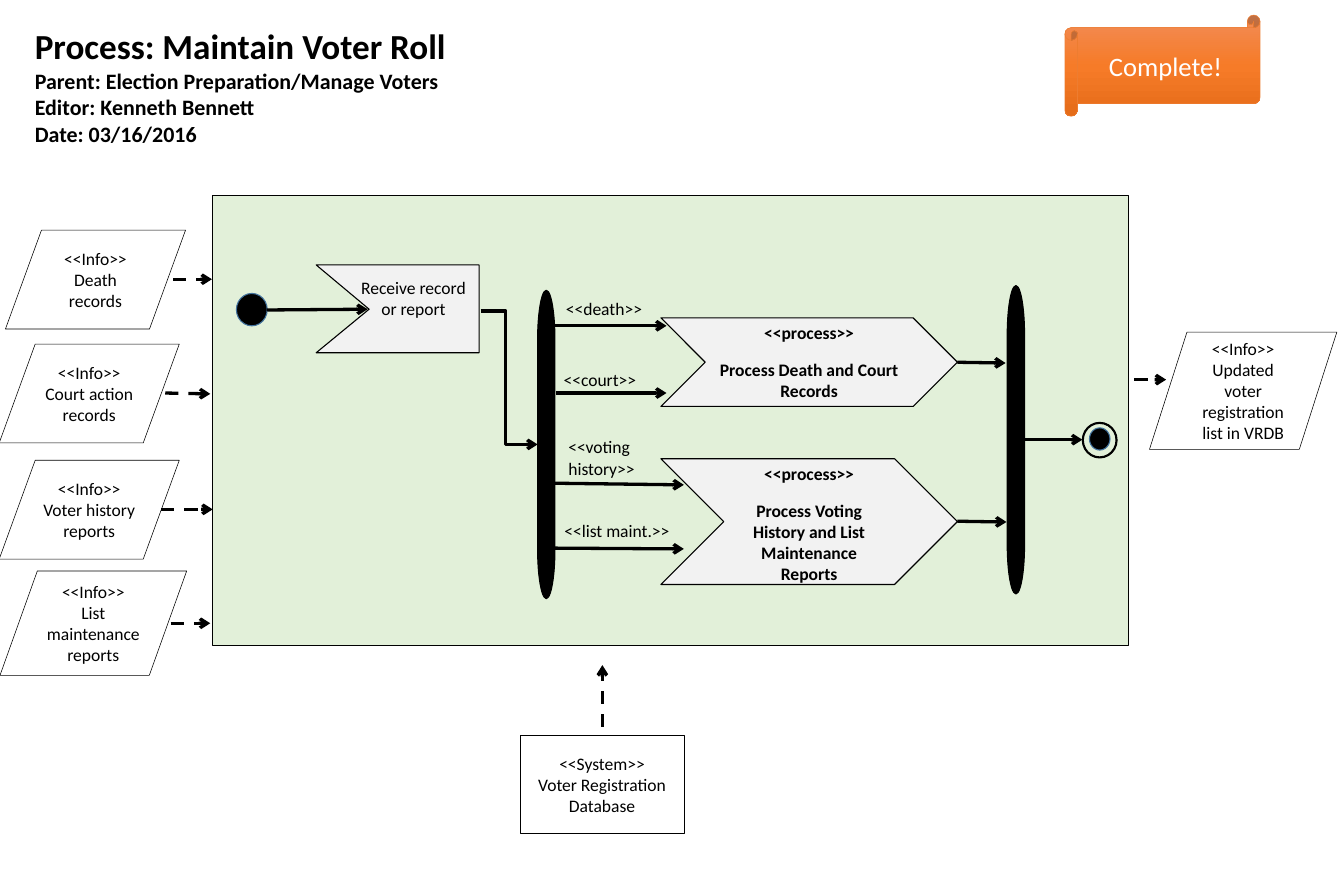
from copy import deepcopy

from lxml.etree import SubElement
from pptx import Presentation
from pptx.dml.color import RGBColor
from pptx.enum.dml import MSO_LINE
from pptx.enum.shapes import MSO_CONNECTOR as Connector, MSO_SHAPE as Shape
from pptx.enum.text import MSO_ANCHOR as Anchor, MSO_AUTO_SIZE as AutoSize, PP_ALIGN as Align
from pptx.oxml.ns import qn
from pptx.util import Pt

BLACK = RGBColor(0x00, 0x00, 0x00)
WHITE = RGBColor(0xFF, 0xFF, 0xFF)
PANEL_GREEN = RGBColor(0xE2, 0xF0, 0xD9)
STEP_GRAY = RGBColor(0xF2, 0xF2, 0xF2)
NODE_BLUE = RGBColor(0x43, 0x73, 0x9E)
SCROLL_ORANGE = RGBColor(0xED, 0x7D, 0x31)
SCROLL_GRADIENT = [RGBColor(0xF1, 0x8C, 0x57), RGBColor(0xF6, 0x7B, 0x28), RGBColor(0xE5, 0x6C, 0x19)]

INFO_BOXES = [
    ((5, 209.5, 164, 90), ["Death records"]),
    ((-0.7, 313.2, 164, 90), ["Court action records"]),
    ((-0.7, 419, 164, 90), ["Voter history", "reports"]),
    ((0, 519.8, 170, 95), ["List maintenance reports"]),
    ((1046.9, 302.4, 170.6, 106.6), ["Updated voter registration list in VRDB"]),
]
PROCESSES = [
    ((601.9, 417.6, 270, 114.5), "Process Voting History and List Maintenance Reports"),
    ((601.9, 289.4, 270, 80.6), "Process Death and Court Records"),
]
FLOW_LABELS = [
    ((508.3, 267.8, 85, 26.6), "<<death>>"),
    ((506.2, 331.9, 85, 26.6), "<<court>>"),
    ((510.5, 393.8, 94.3, 47.5), "<<voting history>>"),
    ((506.9, 470.2, 117.4, 26.6), "<<list maint.>>"),
]
FLOW_ARROWS = [
    (243.4, 282.2, 334.8, 281.5),
    (505.4, 296.6, 607, 296.6),
    (506.2, 357.8, 607, 357.8),
    (504, 439.9, 622.8, 441.4),
    (504, 499, 622.8, 499.7),
    (871.9, 329.8, 915.8, 330.5),
    (871.9, 474.5, 916.6, 475.2),
    (932.4, 400.3, 985.7, 400.3),
]
DATA_ARROWS = [
    (157.7, 254.2, 193, 254.2),
    (150.5, 357.8, 191.5, 358.6),
    (146.9, 463.7, 193.7, 463.7),
    (155.5, 567.4, 191.5, 567.4),
    (1033.2, 345.6, 1062, 345.6),
    (548.6, 661.7, 548.6, 605.5),
]
RECEIVE_OUTLINE = [(288, 241.2), (436.3, 241.2), (436.3, 321.1), (288, 321.1), (336.2, 281.5)]


def apply(target, formats):
    for name, value in formats.items():
        setattr(target, name, value)


class ProcessSlide:
    font_name = "Calibri"
    text_size = 16

    def __init__(self, presentation):
        self.slide = presentation.slides.add_slide(presentation.slide_layouts[1])
        self.shapes = self.slide.shapes

    def add_text(self, shape, lines, size=text_size, bold=False, color=BLACK,
                 align=Align.CENTER, anchor=Anchor.MIDDLE, gap=0, **margins):
        """Fill a shape with one paragraph per line, gap points apart."""
        frame = shape.text_frame
        apply(frame, {"word_wrap": True, "auto_size": AutoSize.NONE, "vertical_anchor": anchor})
        apply(frame, {f"margin_{side}": Pt(value) for side, value in margins.items()})
        for index, line in enumerate(lines):
            paragraph = frame.add_paragraph() if index else frame.paragraphs[0]
            apply(paragraph, {"alignment": align, "space_before": Pt(gap if index else 0)})
            run = paragraph.add_run()
            run.text = line
            apply(run.font, {"name": self.font_name, "size": Pt(size), "bold": bold})
            run.font.color.rgb = color

    def heading(self, placeholder, box, lines, size):
        apply(placeholder, dict(zip(("left", "top", "width", "height"), map(Pt, box))))
        self.add_text(placeholder, lines, size, True, align=Align.LEFT, anchor=Anchor.TOP)
        for paragraph in placeholder.text_frame.paragraphs:
            properties = paragraph._p.get_or_add_pPr()
            properties.set("marL", "0")
            properties.set("indent", "0")
            SubElement(properties, qn("a:buNone"))

    def paint(self, shape, fill, line, width):
        shape.shadow.inherit = False
        if fill is None:
            shape.fill.background()
        else:
            shape.fill.solid()
            shape.fill.fore_color.rgb = fill
        shape.line.color.rgb = line
        shape.line.width = Pt(width)
        return shape

    def shape(self, kind, box, fill=None, line=BLACK, width=1.0):
        return self.paint(self.shapes.add_shape(kind, *map(Pt, box)), fill, line, width)

    def outline(self, points, fill):
        start, *others = [(Pt(x), Pt(y)) for x, y in points]
        builder = self.shapes.build_freeform(*start)
        builder.add_line_segments(others)
        return self.paint(builder.convert_to_shape(), fill, BLACK, 1)

    def label(self, box, text):
        self.add_text(self.shapes.add_textbox(*map(Pt, box)), [text],
                      align=Align.LEFT, anchor=Anchor.TOP)

    def arrow(self, ends, dashed=False, bend=None):
        """Draw an arrow; bend is the elbow's place as a share of the width."""
        kind = Connector.STRAIGHT if bend is None else Connector.ELBOW
        connector = self.shapes.add_connector(kind, *map(Pt, ends))
        connector.line.color.rgb = BLACK
        connector.line.width = Pt(3)
        if dashed:
            connector.line.dash_style = MSO_LINE.DASH
        properties = connector._element.spPr
        SubElement(properties.find(qn("a:ln")), qn("a:tailEnd"), type="arrow")
        SubElement(properties, qn("a:effectLst"))
        if bend is not None:
            guides = properties.find(qn("a:prstGeom")).get_or_add_avLst()
            SubElement(guides, qn("a:gd"), name="adj1", fmla=f"val {round(bend * 100000)}")

    def scroll(self, box, text, colors):
        scroll = self.shape(Shape.HORIZONTAL_SCROLL, box, line=SCROLL_ORANGE, width=0.5)
        scroll.fill.gradient()
        scroll.fill.gradient_angle = 270
        stop_list = scroll._element.spPr.find(qn("a:gradFill")).find(qn("a:gsLst"))
        stop_list.insert(1, deepcopy(stop_list[0]))
        for index, (stop, color) in enumerate(zip(scroll.fill.gradient_stops, colors)):
            stop.color.rgb = color
            stop.position = index / 2
        self.add_text(scroll, [text], 24.2, color=WHITE)


def main():
    presentation = Presentation()
    apply(presentation, {"slide_width": Pt(1224), "slide_height": Pt(792)})
    process = ProcessSlide(presentation)

    title, details = process.slide.placeholders
    process.heading(title, (24.5, 18.7, 695, 46), ["Process: Maintain Voter Roll"], 32)
    process.heading(details, (24.5, 57.8, 695, 80),
                    ["Parent: Election Preparation/Manage Voters",
                     "Editor: Kenneth Bennett", "Date: 03/16/2016"], 20)

    process.shape(Shape.RECTANGLE, (193.7, 177.8, 834.5, 409.7), PANEL_GREEN)
    for box, lines in INFO_BOXES:
        info = process.shape(Shape.FLOWCHART_DATA, box, width=0.5)
        process.add_text(info, ["<<Info>>", *lines])
    system = process.shape(Shape.FLOWCHART_PROCESS, (473.8, 669.6, 149, 88.6), width=0.5)
    process.add_text(system, ["<<System>>", "Voter Registration Database"])

    end_ring = process.shape(Shape.DONUT, (985.7, 384.5, 31.7, 32.4), BLACK)
    end_ring.adjustments[0] = 0.03
    for node in [(215.3, 267.1, 28.1, 29.5), (992.2, 389.5, 18.7, 20.2)]:
        process.shape(Shape.FLOWCHART_CONNECTOR, node, BLACK, NODE_BLUE)
    for left, top in [(357.1, 396.7), (784.8, 392.4)]:
        bar = process.shape(Shape.FLOWCHART_TERMINATOR, (left, top, 280.8, 15.8), BLACK)
        bar.rotation = 270

    receive = process.outline(RECEIVE_OUTLINE, STEP_GRAY)
    process.add_text(receive, ["Receive record or report"], left=36, top=3.6, right=7.2, bottom=23)
    for box, name in PROCESSES:
        step = process.shape(Shape.CHEVRON, box, STEP_GRAY)
        process.add_text(step, ["<<process>>", name], bold=True, anchor=Anchor.TOP, gap=14.6)
    for box, text in FLOW_LABELS:
        process.label(box, text)

    for ends in FLOW_ARROWS:
        process.arrow(ends)
    for ends in DATA_ARROWS:
        process.arrow(ends, dashed=True)
    process.arrow((437.8, 283, 489.6, 404.6), bend=0.44)
    process.scroll((969.8, 13.7, 177.8, 92.2), "Complete!", SCROLL_GRADIENT)

    presentation.save("out.pptx")


if __name__ == "__main__":
    main()
